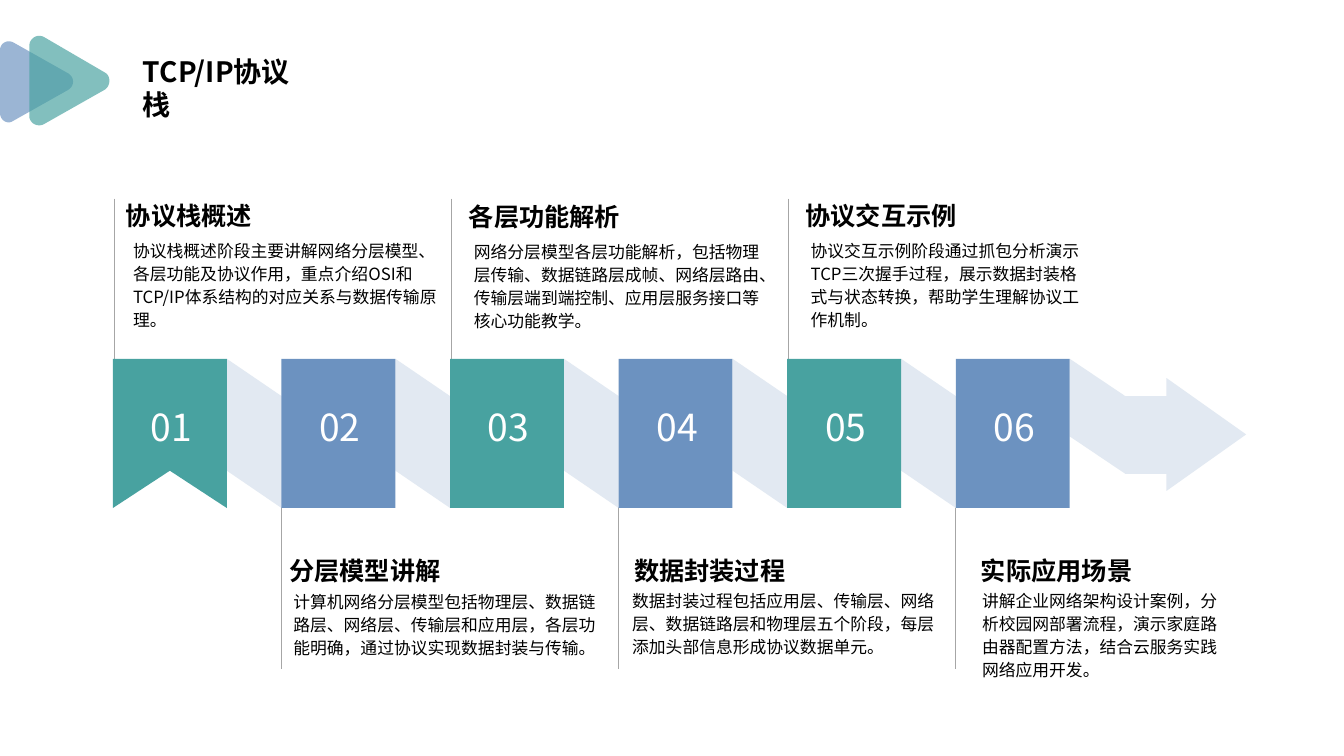
"""Builds a six-step timeline slide about the TCP/IP protocol stack."""
import pptx
import pptx.util
import pptx.dml.color
import pptx.enum.shapes
import pptx.enum.text
import lxml.etree
from pptx.oxml.ns import qn

Inches = pptx.util.Inches
Pt = pptx.util.Pt
RGBColor = pptx.dml.color.RGBColor
ALIGN = pptx.enum.text.PP_ALIGN
TEAL = RGBColor(0x48, 0xA2, 0xA0)
BLUE = RGBColor(0x6C, 0x92, 0xC0)
PALE = RGBColor(0xE2, 0xE9, 0xF2)
GREY = RGBColor(0xA6, 0xA6, 0xA6)
BLACK = RGBColor(0, 0, 0)
WHITE = RGBColor(0xFF, 0xFF, 0xFF)
FONT = "Noto Sans CJK SC"

prs = pptx.Presentation()
prs.slide_width, prs.slide_height = Inches(13.33), Inches(7.5)
slide = prs.slides.add_slide(prs.slide_layouts[6])


def add_text(box, text, size, color=BLACK, bold=False, insets=(0.1, 0.05), align=None, spacing=None):
    """Adds a wrapped one-paragraph text box and returns its frame."""
    tf = slide.shapes.add_textbox(*map(Inches, box)).text_frame
    tf.word_wrap = True
    tf.margin_left = tf.margin_right = Inches(insets[0])
    tf.margin_top = tf.margin_bottom = Inches(insets[1])
    p = tf.paragraphs[0]
    p.text = text
    p.alignment = align
    p.line_spacing = spacing
    r = p.runs[0]
    r.font.size, r.font.bold, r.font.name = Pt(size), bold, FONT
    r.font.color.rgb = color
    rPr = r._r.get_or_add_rPr()
    rPr.set("lang", "zh-CN")
    lxml.etree.SubElement(rPr, qn("a:ea")).set("typeface", FONT)
    return tf


def add_outline(points, color):
    """Adds a filled polygon without line or shadow."""
    points = [(Inches(x), Inches(y)) for x, y in points]
    builder = slide.shapes.build_freeform(*points[0])
    builder.add_line_segments(points[1:], close=True)
    sp = builder.convert_to_shape()
    sp.shadow.inherit = False
    sp.fill.solid()
    sp.fill.fore_color.rgb = color
    sp.line.fill.background()
    return sp


tf = add_text((1.32, 0.49, 1.7, 0.44), "TCP/IP协议栈", 20, bold=True)
tf.auto_size = pptx.enum.text.MSO_AUTO_SIZE.SHAPE_TO_FIT_TEXT

logo_triangles = [
    (BLUE, [[(0.13, 0.42), (0.07, 0.39), (0, 0.43), (0, 0.5)],
            [(0, 1.12), (0, 1.19), (0.07, 1.24), (0.13, 1.2)],
            [(0.68, 0.89), (0.74, 0.85), (0.74, 0.77), (0.68, 0.73)]]),
    (TEAL, [[(0.44, 0.37), (0.37, 0.33), (0.29, 0.38), (0.29, 0.46)],
            [(0.29, 1.15), (0.29, 1.22), (0.37, 1.27), (0.44, 1.23)],
            [(1.04, 0.89), (1.1, 0.85), (1.1, 0.75), (1.04, 0.72)]]),
]
CURVE_STEPS = 12
for color, corners in logo_triangles:
    points = []
    for corner in corners:
        for step in range(CURVE_STEPS + 1):
            t = step / CURVE_STEPS
            weights = ((1 - t) ** 3, 3 * t * (1 - t) ** 2, 3 * t * t * (1 - t), t ** 3)
            points.append([sum(w * c[axis] for w, c in zip(weights, corner)) for axis in (0, 1)])
    sp = add_outline(points, color)
    solid_color = sp._element.spPr.find(qn("a:solidFill"))[0]
    lxml.etree.SubElement(solid_color, qn("a:alpha")).set("val", "68000")

steps = [
    ("协议栈概述", (1.12, 1.86), (1.32, 2.36, 3.02),
     "协议栈概述阶段主要讲解网络分层模型、各层功能及协议作用，重点介绍OSI和TCP/IP体系结构的对应关系与数据传输原理。"),
    ("分层模型讲解", (2.74, 5.38), (2.91, 5.84, 3.1),
     "计算机网络分层模型包括物理层、数据链路层、网络层、传输层和应用层，各层功能明确，通过协议实现数据封装与传输。"),
    ("各层功能解析", (4.52, 1.87), (4.7, 2.37, 2.98),
     "网络分层模型各层功能解析，包括物理层传输、数据链路层成帧、网络层路由、传输层端到端控制、应用层服务接口等核心功能教学。"),
    ("数据封装过程", (6.16, 5.38), (6.27, 5.83, 3.1),
     "数据封装过程包括应用层、传输层、网络层、数据链路层和物理层五个阶段，每层添加头部信息形成协议数据单元。"),
    ("协议交互示例", (7.86, 1.86), (8.04, 2.36, 2.72),
     "协议交互示例阶段通过抓包分析演示TCP三次握手过程，展示数据封装格式与状态转换，帮助学生理解协议工作机制。"),
    ("实际应用场景", (9.6, 5.38), (9.74, 5.83, 2.42),
     "讲解企业网络架构设计案例，分析校园网部署流程，演示家庭路由器配置方法，结合云服务实践网络应用开发。"),
]
WIDTH, TOP, BOTTOM, FOLD = 1.13, 3.56, 5.04, 0.37
lefts = [1.12 + 8.36 / 5 * i for i in range(6)]

for i, left in enumerate(lefts):
    x, y1, y2 = (left, 5.03, 6.64) if i % 2 else (left + 0.01, 1.97, 3.57)
    line = slide.shapes.add_connector(pptx.enum.shapes.MSO_CONNECTOR.STRAIGHT,
                                      Inches(x), Inches(y1), Inches(x), Inches(y2))
    line.line.color.rgb = GREY
    line.line.width = Pt(0.5)
    lxml.etree.SubElement(line._element.spPr, qn("a:effectLst"))

for left, right, low in zip(lefts, lefts[1:] + [11.16], [BOTTOM] * 5 + [4.7]):
    start = left + WIDTH
    add_outline([(start, TOP), (right, TOP + FOLD), (right, low), (start, low - FOLD)], PALE)
add_outline([(11.16, 3.93), (11.57, 3.93), (11.57, 3.75), (12.36, 4.31),
             (11.57, 4.87), (11.57, 4.7), (11.16, 4.7)], PALE)

for i, (left, (heading, heading_at, body_box, body)) in enumerate(zip(lefts, steps)):
    if i == 0:
        add_outline([(left, TOP), (left + WIDTH, TOP), (left + WIDTH, BOTTOM),
                     (left + WIDTH / 2, BOTTOM - FOLD), (left, BOTTOM)], TEAL)
    else:
        sp = slide.shapes.add_shape(pptx.enum.shapes.MSO_SHAPE.RECTANGLE, Inches(left), Inches(TOP),
                                    Inches(WIDTH), Inches(BOTTOM - TOP))
        sp.shadow.inherit = False
        sp.fill.solid()
        sp.fill.fore_color.rgb = BLUE if i % 2 else TEAL
        sp.line.fill.background()
    tf = add_text((left - 0.12, 3.74, 1.4, 0.99), f"{i + 1:02d}", 26.6, WHITE, align=ALIGN.CENTER)
    tf.vertical_anchor = pptx.enum.text.MSO_ANCHOR.MIDDLE
    add_text((*heading_at, 2.56, 1.36), heading, 18, bold=True, insets=(0.13, 0.07),
             align=ALIGN.JUSTIFY, spacing=1.2)
    add_text((*body_box, 1.09), body, 12, insets=(0, 0), spacing=1.14)

prs.save("out.pptx")
